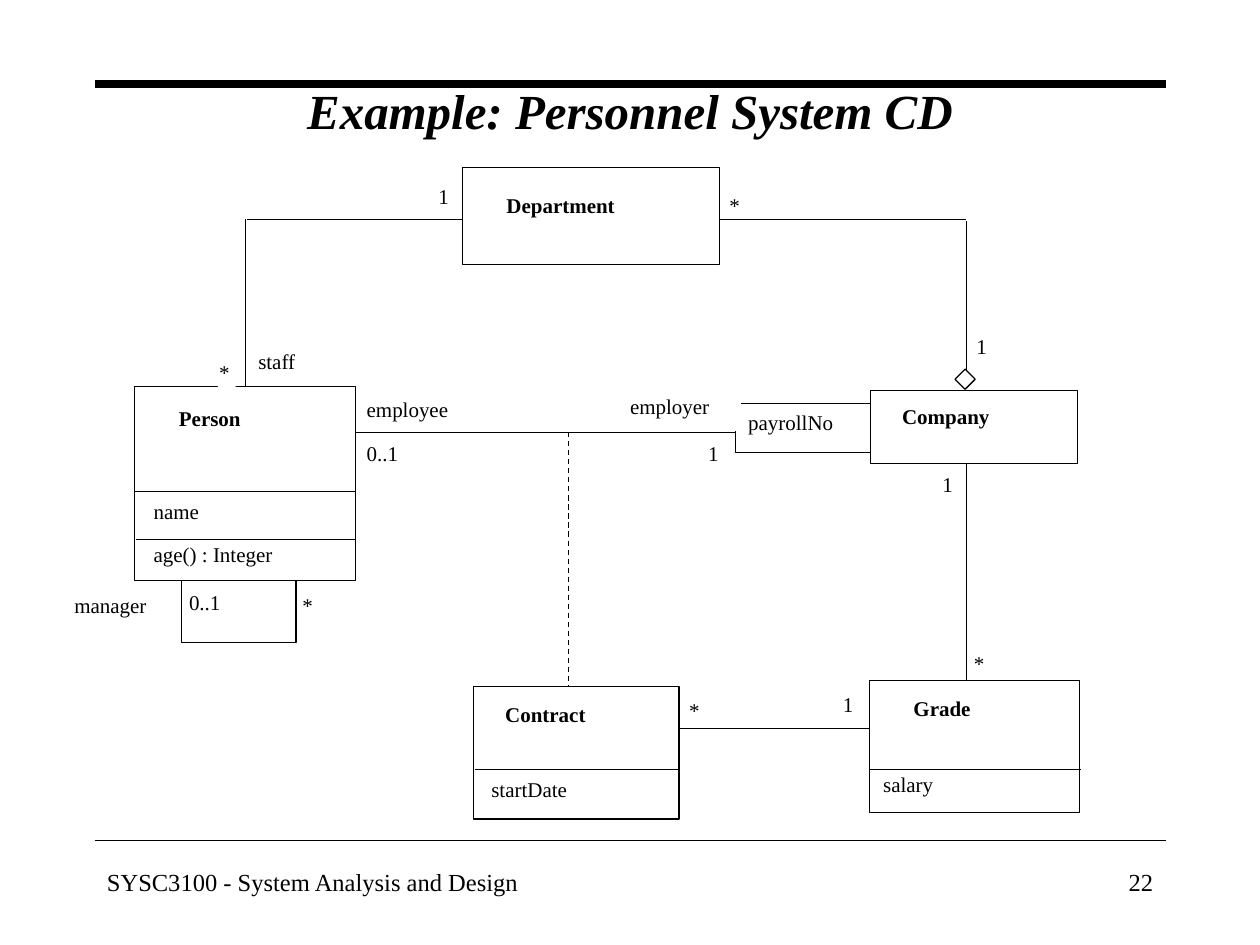
from dataclasses import dataclass

from lxml import etree
from pptx import Presentation
from pptx.dml.color import RGBColor
from pptx.enum.dml import MSO_LINE
from pptx.enum.shapes import MSO_CONNECTOR, MSO_SHAPE
from pptx.enum.text import MSO_ANCHOR, PP_ALIGN
from pptx.oxml.ns import qn
from pptx.util import Inches, Pt

RECTANGLE = MSO_SHAPE.RECTANGLE
DIAMOND = MSO_SHAPE.DIAMOND
STRAIGHT = MSO_CONNECTOR.STRAIGHT
DASH = MSO_LINE.DASH
TOP, MIDDLE = MSO_ANCHOR.TOP, MSO_ANCHOR.MIDDLE
LEFT, CENTER, RIGHT = PP_ALIGN.LEFT, PP_ALIGN.CENTER, PP_ALIGN.RIGHT


@dataclass(frozen=True)
class Theme:
    font: str = "Times New Roman"
    ink: RGBColor = RGBColor(0, 0, 0)
    paper: RGBColor = RGBColor(255, 255, 255)
    title_size: int = 28
    body_size: int = 12
    footer_size: int = 14
    thin: float = 0.75


THEME = Theme()
DEFAULT_INSETS = (0.1, 0.05, 0.1, 0.05)
LABEL_INSETS = (0.01,) * 4

# name, (left, top, width, height), text insets, bold
CLASSES = [
    ("", (1.44, 4.55, 0.91, 0.55), DEFAULT_INSETS, False),  # manager loop
    ("Department", (3.67, 1.33, 2.04, 0.77), (0.35, 0.2, 0.3, 0.2), True),
    ("Contract", (3.76, 5.45, 1.63, 1.05), (0.25, 0.12, 0.1, 0.05), True),
    ("Grade", (6.9, 5.4, 1.67, 1.05), (0.35, 0.12, 0.1, 0.05), True),
    ("Person", (1.07, 3.07, 1.75, 1.54), (0.35, 0.15, 0.1, 0.05), True),
    ("payrollNo", (5.84, 3.2, 1.17, 0.39), DEFAULT_INSETS, False),
    ("Company", (6.91, 3.1, 1.64, 0.58), (0.25, 0.1, 0.25, 0.1), True),
]

ATTRIBUTES = [
    ("name", (1.21, 3.95, 0.52, 0.26)),
    ("age() : Integer", (1.21, 4.29, 1.29, 0.31)),
    ("startDate", (3.89, 6.15, 0.84, 0.29)),
    ("salary", (7, 6.11, 0.56, 0.29)),
]

ROLES = [
    ("staff", (2.04, 2.76, 0.47, 0.29)),
    ("employer", (4.99, 3.11, 0.89, 0.31)),
    ("employee", (2.9, 3.14, 0.95, 0.27)),
    ("manager", (0.58, 4.69, 0.8, 0.28)),
]

MULTIPLICITIES = [
    ("1", (7.74, 2.64, 0.14, 0.26)),
    ("*", (1.73, 2.84, 0.14, 0.26)),
    ("1", (3.47, 1.45, 0.14, 0.26)),
    ("*", (5.78, 1.52, 0.14, 0.26)),
    ("0..1", (2.9, 3.49, 0.38, 0.28)),
    ("1", (5.61, 3.49, 0.14, 0.26)),
    ("0..1", (1.49, 4.67, 0.41, 0.31)),
    ("*", (2.39, 4.69, 0.14, 0.26)),
    ("1", (7.47, 3.73, 0.14, 0.26)),
    ("*", (7.72, 5.15, 0.13, 0.2)),
    ("1", (6.68, 5.48, 0.14, 0.26)),
    ("*", (5.46, 5.53, 0.14, 0.17)),
]

ASSOCIATIONS = [
    ((3.67, 1.74), (1.96, 1.74)),
    ((1.95, 1.74), (1.95, 3.06)),
    ((5.71, 1.74), (7.67, 1.74)),
    ((7.67, 1.75), (7.67, 2.94)),
    ((5.84, 3.43), (2.82, 3.43)),
    ((5.39, 5.78), (6.9, 5.78)),
    ((7.67, 3.68), (7.67, 5.4)),
]

COMPARTMENTS = [
    ((1.07, 3.9), (2.82, 3.9)),
    ((1.08, 4.28), (2.82, 4.28)),
    ((3.77, 6.11), (5.39, 6.11)),
    ((6.9, 6.11), (8.58, 6.11)),
]


def write_text(shape, text, *, size=THEME.body_size, bold=False, italic=False,
               align=LEFT, anchor=TOP, insets=DEFAULT_INSETS):
    frame = shape.text_frame
    frame.word_wrap = True
    frame.vertical_anchor = anchor
    (frame.margin_left, frame.margin_top,
     frame.margin_right, frame.margin_bottom) = map(Inches, insets)
    para = frame.paragraphs[0]
    para.alignment = align
    span = para.add_run()
    span.text = text
    span.font.name = THEME.font
    span.font.size = Pt(size)
    span.font.bold = bold
    span.font.italic = italic
    span.font.color.rgb = THEME.ink


def add_text(page, text, bounds, **text_format):
    box = page.shapes.add_textbox(*map(Inches, bounds))
    write_text(box, text, **text_format)


def add_box(page, bounds, kind=RECTANGLE, outlined=True):
    box = page.shapes.add_shape(kind, *map(Inches, bounds))
    box.shadow.inherit = False
    box.fill.solid()
    box.fill.fore_color.rgb = THEME.paper
    if outlined:
        box.line.color.rgb = THEME.ink
        box.line.width = Pt(THEME.thin)
    else:
        box.line.fill.background()
    return box


def add_line(page, start, end, width=THEME.thin, dash=None):
    line = page.shapes.add_connector(STRAIGHT, *map(Inches, start + end))
    line.line.color.rgb = THEME.ink
    line.line.width = Pt(width)
    if dash is not None:
        line.line.dash_style = dash
    properties = line._element.find(qn("p:spPr"))
    etree.SubElement(properties, qn("a:effectLst"))


def add_frame(page):
    """Add the rules, title and footer around the diagram."""
    for y, width in ((0.67, 4.5), (6.67, 1)):
        add_line(page, (0.75, y), (9.25, y), width=width)
    add_text(page, "Example: Personnel System CD", (0.75, 0.25, 8.5, 1.25),
             size=THEME.title_size, bold=True, italic=True,
             align=CENTER, anchor=MIDDLE)
    add_text(page, "SYSC3100 - System Analysis and Design",
             (0.75, 6.83, 5.75, 0.5), size=THEME.footer_size)
    add_text(page, "22", (7.17, 6.83, 2.08, 0.5),
             size=THEME.footer_size, align=RIGHT)


def add_diagram(page):
    for name, bounds, insets, bold in CLASSES:
        box = add_box(page, bounds)
        if name:
            write_text(box, name, bold=bold, insets=insets)
    for text, bounds in ATTRIBUTES + ROLES + MULTIPLICITIES:
        label = add_box(page, bounds, outlined=False)
        write_text(label, text, insets=LABEL_INSETS)
    for start, end in ASSOCIATIONS + COMPARTMENTS:
        add_line(page, start, end)
    add_line(page, (4.51, 3.43), (4.51, 5.45), dash=DASH)
    add_box(page, (7.58, 2.93, 0.16, 0.16), kind=DIAMOND)


def main():
    deck = Presentation()
    deck.slide_width, deck.slide_height = Inches(10), Inches(7.5)
    page = deck.slides.add_slide(deck.slide_layouts[6])
    add_frame(page)
    add_diagram(page)
    deck.save("out.pptx")


if __name__ == "__main__":
    main()
